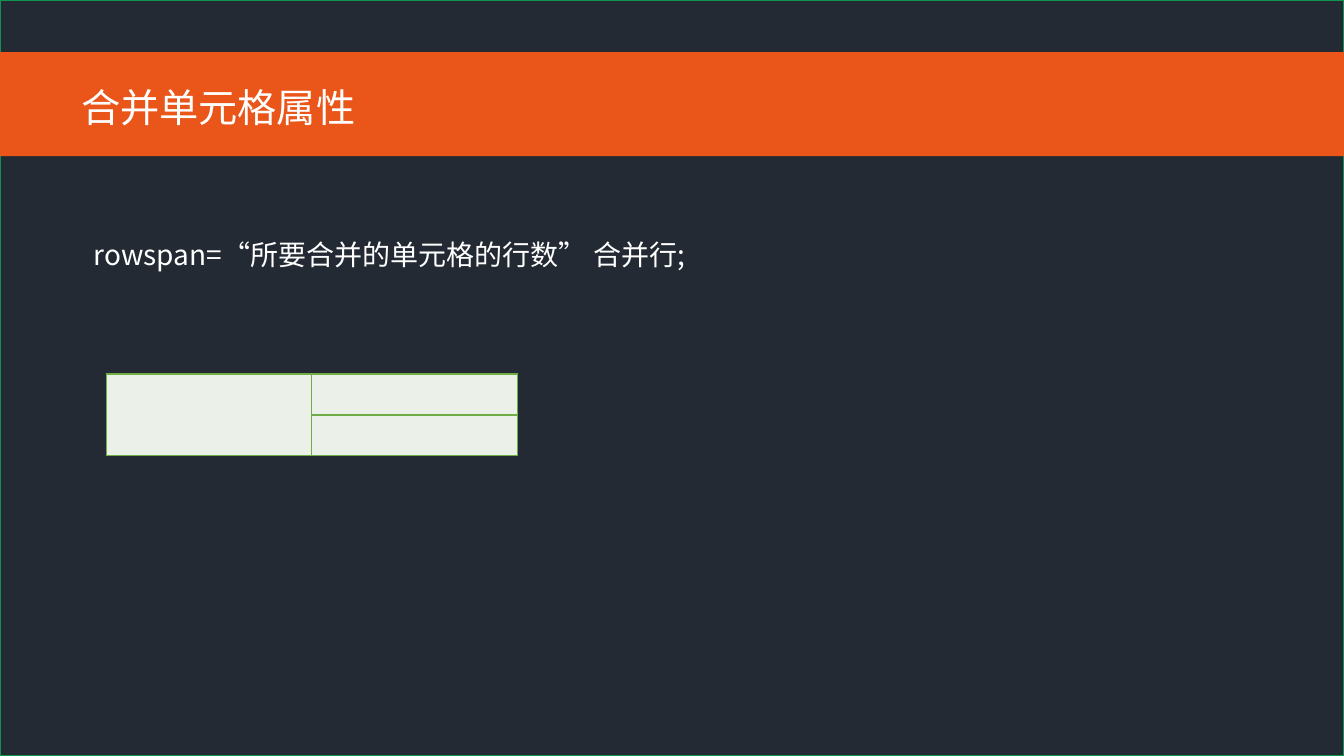
from lxml import etree
from pptx import Presentation
from pptx import util as u
from pptx.dml.color import RGBColor
from pptx.enum import lang, shapes, text
from pptx.oxml.ns import qn

FONT = "Noto Sans CJK SC"
HUES = {
    "back": "232A34",
    "edge": "0D944E",
    "band": "EA5519",
    "text": "FFFFFF",
    "cell": "EBF1E9",
    "grid": "70AD47",
}


def hue(name):
    """Return the named colour."""
    return RGBColor.from_string(HUES[name])


def points(box):
    """Turn a box of numbers into lengths."""
    return [u.Pt(n) for n in box]


def panel(slide, box, fill, edge=None):
    """Draw a flat rectangle with an optional outline."""
    rect = slide.shapes.add_shape(shapes.MSO_SHAPE.RECTANGLE, *points(box))
    rect.shadow.inherit = False
    rect.fill.solid()
    rect.fill.fore_color.rgb = hue(fill)
    if edge:
        rect.line.color.rgb = hue(edge)
        rect.line.width = u.Pt(1)
    else:
        rect.line.fill.background()


def label(slide, box, words, size, wrap=True, indent=0):
    """Write one line of white text in the box."""
    frame = slide.shapes.add_textbox(*points(box)).text_frame
    frame.word_wrap = wrap
    frame.auto_size = text.MSO_AUTO_SIZE.SHAPE_TO_FIT_TEXT
    para = frame.paragraphs[0]
    para.text = words
    para.line_spacing = u.Pt(36)
    if indent:
        para.level = 1
        props = para._p.get_or_add_pPr()
        props.set("marL", str(u.Pt(indent)))
        props.set("indent", "0")
    font = para.runs[0].font
    font.size = u.Pt(size)
    font.name = FONT
    font.color.rgb = hue("text")
    font.language_id = lang.MSO_LANGUAGE_ID.SIMPLIFIED_CHINESE
    latin = font._element.find(qn("a:latin"))
    asian = etree.Element(qn("a:ea"), typeface=FONT)
    latin.addnext(asian)


def header(slide, box):
    """Draw the title band and its title."""
    left, top, width, height = box
    panel(slide, box, "band")
    label(slide, (left + 51, top + 16.5, 244, 41), "合并单元格属性", 28)


def border(cell):
    """Put a thin line on each side of the cell."""
    props = cell._tc.get_or_add_tcPr()
    for spot, side in enumerate(("lnL", "lnR", "lnT", "lnB")):
        line = etree.Element(qn("a:" + side), w=str(u.Pt(1)))
        fill = etree.SubElement(line, qn("a:solidFill"))
        etree.SubElement(fill, qn("a:srgbClr"), val=HUES["grid"])
        props.insert(spot, line)


def sample(slide, box):
    """Draw a two by two table whose first column spans both rows."""
    table = slide.shapes.add_table(2, 2, *points(box)).table
    table.first_row = table.horz_banding = False
    for cell in table.iter_cells():
        cell.margin_top = cell.margin_bottom = 0
        cell.fill.solid()
        cell.fill.fore_color.rgb = hue("cell")
        border(cell)
    table.cell(0, 0).merge(table.cell(1, 0))


def page(slide, box):
    """Lay out the whole slide."""
    left, top, width, height = box
    panel(slide, box, "back", "edge")
    header(slide, (left, top + 37.2, width, 74.4))
    label(slide, (left + 24, top + 154, 482, 40),
          "rowspan=“所要合并的单元格的行数” 合并行;", 20, False, 36)
    sample(slide, (left + 75.8, top + 267.2, 293.8, 58.4))


def main():
    """Build and save the deck."""
    deck = Presentation()
    deck.slide_width, deck.slide_height = u.Pt(960), u.Pt(540)
    page(deck.slides.add_slide(deck.slide_layouts[6]), (0, 0, 960, 540))
    deck.save("out.pptx")


if __name__ == "__main__":
    main()
